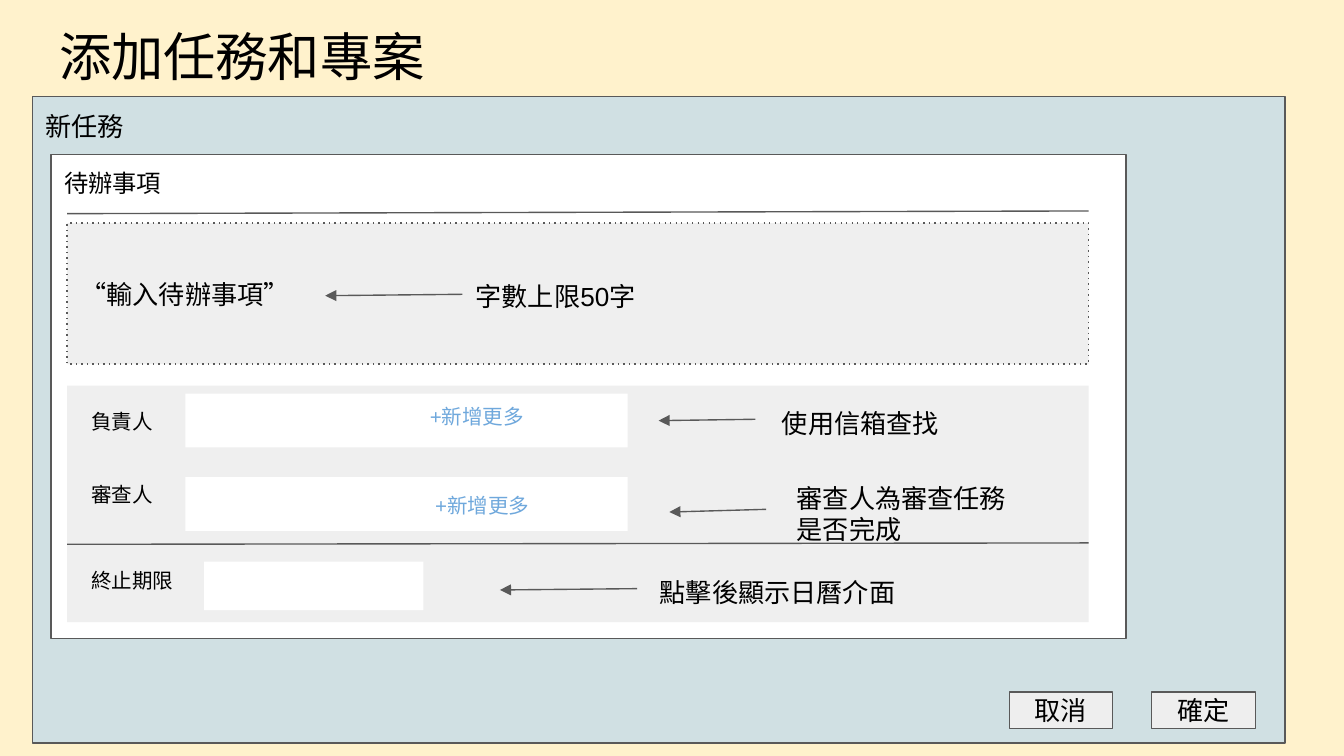
from lxml.etree import SubElement
from pptx import Presentation
from pptx.dml.color import RGBColor
from pptx.enum.shapes import MSO_CONNECTOR, MSO_SHAPE
from pptx.enum.text import MSO_ANCHOR, MSO_AUTO_SIZE, PP_ALIGN
from pptx.oxml.ns import qn
from pptx.util import Inches, Pt

CREAM = RGBColor(0xFF, 0xF2, 0xCC)
PALE_TEAL = RGBColor(0xD0, 0xE0, 0xE3)
WHITE = RGBColor(0xFF, 0xFF, 0xFF)
LIGHT_GRAY = RGBColor(0xEF, 0xEF, 0xEF)
BUTTON_GRAY = RGBColor(0xEE, 0xEE, 0xEE)
DARK_GRAY = RGBColor(0x59, 0x59, 0x59)
BLACK = RGBColor(0, 0, 0)
LINK_BLUE = RGBColor(0x6F, 0xA8, 0xDC)


def write(shape, text, size=14, color=BLACK, font="Arial",
          align=PP_ALIGN.LEFT, anchor=MSO_ANCHOR.TOP):
    tf = shape.text_frame
    tf.word_wrap = True
    tf.auto_size = MSO_AUTO_SIZE.NONE
    tf.vertical_anchor = anchor
    tf.margin_left = tf.margin_right = Inches(0.1)
    tf.margin_top = tf.margin_bottom = Inches(0.1)
    p = tf.paragraphs[0]
    p.alignment = align
    r = p.add_run()
    r.text = text
    r.font.name = font
    r.font.size = Pt(size)
    r.font.color.rgb = color


class Wireframe:
    def __init__(self, slide, line_color=DARK_GRAY, line_width=0.75):
        self.s = slide
        self.line_color = line_color
        self.line_width = Pt(line_width)

    def style_line(self, line, tag=None, value=None):
        """Colour the line and add an optional dash or arrowhead element."""
        line.color.rgb = self.line_color
        line.width = self.line_width
        if tag == "a:prstDash":
            SubElement(line._get_or_add_ln(), qn(tag), val=value)
        elif tag:
            SubElement(line._get_or_add_ln(), qn(tag), type=value)

    def title(self, text, x, y, w, h, **fmt):
        sp = self.s.shapes.title
        sp.left, sp.top, sp.width, sp.height = map(Inches, (x, y, w, h))
        write(sp, text, **fmt)

    def box(self, x, y, w, h, fill, text=None, outlined=False, dotted=False, **fmt):
        sp = self.s.shapes.add_shape(MSO_SHAPE.RECTANGLE, *map(Inches, (x, y, w, h)))
        sp.shadow.inherit = False
        sp.fill.solid()
        sp.fill.fore_color.rgb = fill
        if dotted:
            self.style_line(sp.line, "a:prstDash", "dot")
        elif outlined:
            self.style_line(sp.line)
        else:
            sp.line.fill.background()
        if text:
            write(sp, text, **fmt)

    def label(self, text, x, y, w, h, **fmt):
        write(self.s.shapes.add_textbox(*map(Inches, (x, y, w, h))), text, **fmt)

    def line(self, x1, y1, x2, y2, arrow=False):
        c = self.s.shapes.add_connector(
            MSO_CONNECTOR.STRAIGHT, *map(Inches, (x1, y1, x2, y2)))
        if arrow:
            self.style_line(c.line, "a:tailEnd", "triangle")
        else:
            self.style_line(c.line)
        SubElement(c._element.spPr, qn("a:effectLst"))


def main():
    prs = Presentation()
    prs.slide_width, prs.slide_height = Inches(10), Inches(10 * 9 / 16)
    s = prs.slides.add_slide(prs.slide_layouts[5])
    s.background.fill.solid()
    s.background.fill.fore_color.rgb = CREAM
    ui = Wireframe(s)

    ui.title("添加任務和專案", 0.34, 0.08, 9.32, 0.63, size=28, font="Lato")

    # Dialog window and form
    ui.box(0.24, 0.72, 9.32, 4.81, PALE_TEAL, "新任務", outlined=True)
    ui.box(0.38, 1.15, 8, 3.6, WHITE, "待辦事項", outlined=True, size=13)
    left, width = 0.5, 7.6
    right = left + width
    ui.line(left, 1.59, right, 1.57)
    ui.box(left, 2.87, width, 1.76, LIGHT_GRAY)
    ui.box(left, 1.66, width, 1.05, LIGHT_GRAY, "“輸入待辦事項”", dotted=True,
           anchor=MSO_ANCHOR.MIDDLE)

    # Fields: label, label top and width, then the input's rectangle
    for text, top, w, field in (
        ("負責人", 2.94, 0.71, (1.38, 2.93, 3.29, 0.4)),
        ("審查人", 3.49, 0.71, (1.38, 3.55, 3.29, 0.4)),
        ("終止期限", 4.13, 0.86, (1.52, 4.18, 1.63, 0.36)),
    ):
        ui.label(text, 0.58, top, w, 0.36, size=11)
        ui.box(*field, WHITE)
    for x, y in ((3.1, 2.91), (3.14, 3.57)):
        ui.label("+新增更多", x, y, 1.17, 0.4, size=11, color=LINK_BLUE)
    ui.line(left, 4.05, right, 4.04)

    # Notes: text and its rectangle, then the arrow pointing at the field
    for text, rect, arrow in (
        ("字數上限50字", (3.44, 1.99, 2.06, 0.47), (3.44, 2.19, 2.42, 2.2)),
        ("使用信箱查找", (5.72, 2.93, 1.63, 0.4), (5.62, 3.12, 4.9, 3.13)),
        ("審查人為審查任務是否完成", (5.83, 3.49, 1.9, 0.27), (5.7, 3.79, 4.98, 3.81)),
        ("點擊後顯示日曆介面", (4.81, 4.19, 2.11, 0.4), (4.74, 4.38, 3.72, 4.39)),
    ):
        ui.line(*arrow, arrow=True)
        ui.label(text, *rect)

    for i, text in enumerate(("取消", "確定")):
        ui.box(7.51 + 1.06 * i, 5.15, 0.77, 0.27, BUTTON_GRAY, text, outlined=True,
               align=PP_ALIGN.CENTER, anchor=MSO_ANCHOR.MIDDLE)

    prs.save("out.pptx")


if __name__ == "__main__":
    main()
